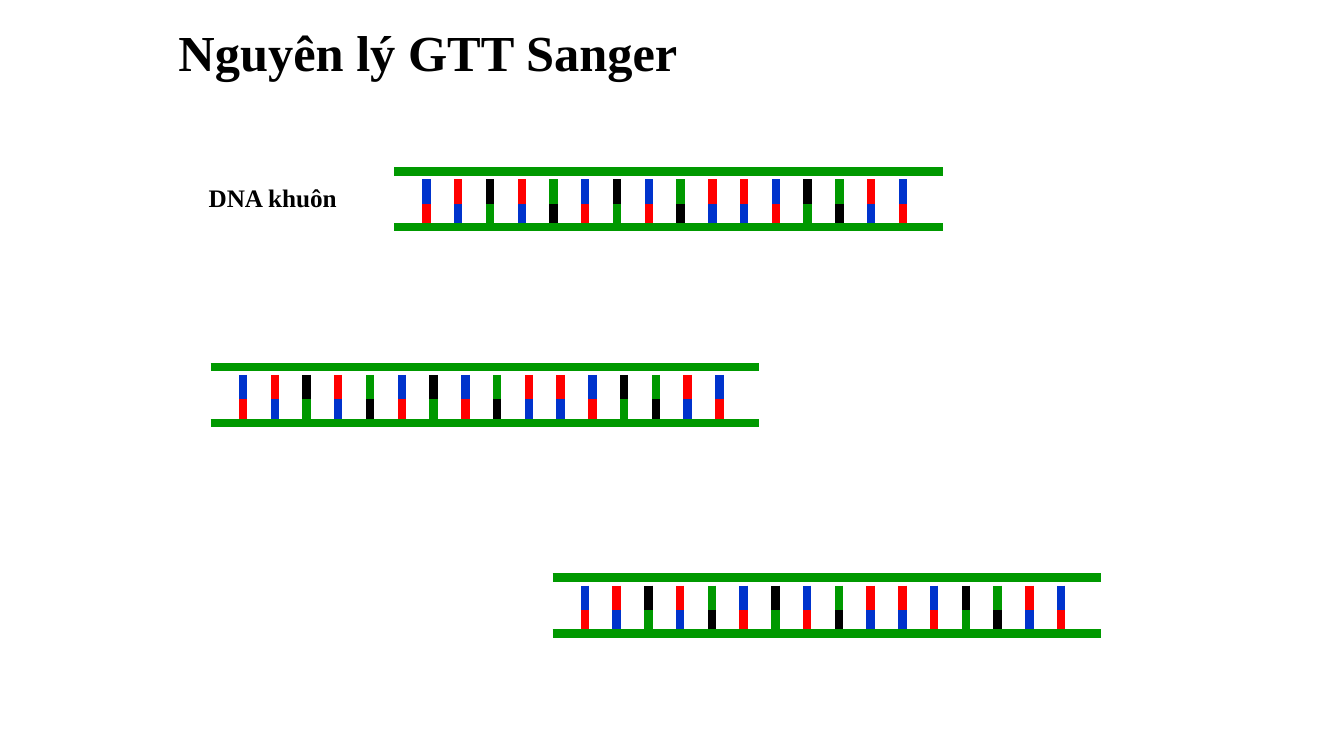
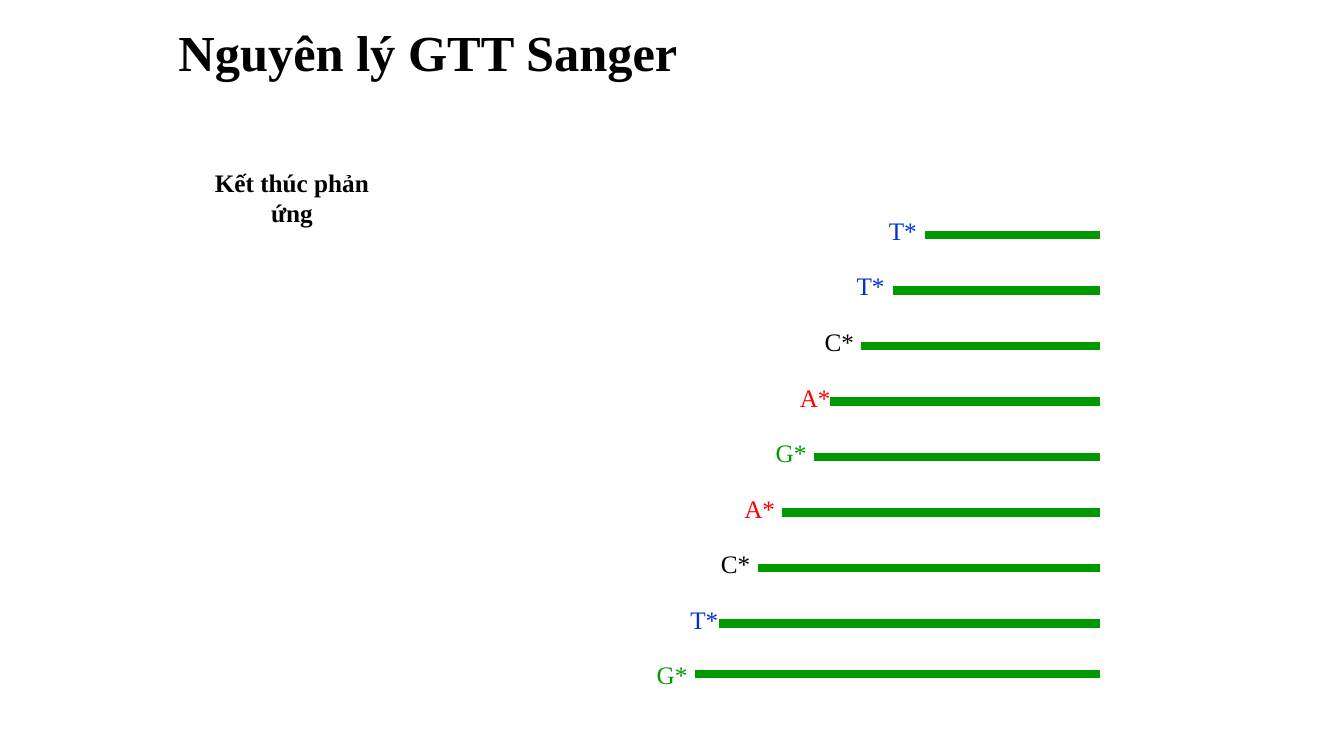
from lxml.etree import SubElement
from pptx import Presentation
from pptx.dml.color import RGBColor
from pptx.enum.shapes import MSO_CONNECTOR
from pptx.enum.text import MSO_ANCHOR, MSO_AUTO_SIZE, PP_ALIGN
from pptx.oxml.ns import qn
from pptx.util import Inches, Pt

FONT = "Times New Roman"
BLACK, GREEN = "000000", "009900"
BASE_COLORS = {"A": "FF0000", "C": BLACK, "G": GREEN, "T": "0033CC"}
COMPLEMENT = {"A": "T", "T": "A", "C": "G", "G": "C"}
TEMPLATE = "TACAGTCTGAATCGAT"
LADDERS = [(3.91, 1.7), (2.09, 3.64), (5.48, 5.73)]
FRAGMENTS = [
    ("T", 8.8, 9.17, 0.28),
    ("T", 8.48, 8.86, 0.28),
    ("C", 8.17, 8.54, 0.28),
    ("A", 7.93, 8.23, 0.28),
    ("G", 7.69, 8.07, 0.28),
    ("A", 7.38, 7.76, 0.28),
    ("C", 7.14, 7.52, 0.28),
    ("T", 6.83, 7.13, 0.28),
    ("G", 6.51, 6.89, 0.23),
]


def rgb(color):
    """Turn a hex string into a colour."""
    return RGBColor.from_string(color)


def write(shape, text, size, color, bold, align):
    """Fill a shape with one formatted paragraph, centred vertically."""
    tf = shape.text_frame
    tf.text = text
    tf.auto_size = MSO_AUTO_SIZE.NONE
    tf.vertical_anchor = MSO_ANCHOR.MIDDLE
    p = tf.paragraphs[0]
    p.alignment = align
    font = p.runs[0].font
    font.name, font.size, font.bold = FONT, Pt(size), bold
    font.color.rgb = rgb(color)
    return tf


def add_slide(prs):
    """Add a slide with the shared title."""
    s = prs.slides.add_slide(prs.slide_layouts[5])
    title = s.shapes.title
    title.left, title.top = Inches(1.67), Inches(0.09)
    title.width, title.height = Inches(8.62), Inches(0.92)
    tf = write(title, "Nguyên lý GTT Sanger", 36, BLACK, True, PP_ALIGN.LEFT)
    tf.paragraphs[0].line_spacing = 0.9
    return s


def add_caption(s, text, width):
    """Add the bold caption at the upper left."""
    box = s.shapes.add_textbox(Inches(1.87), Inches(1.71), Inches(width), Inches(0.5))
    write(box, text, 18, BLACK, True, PP_ALIGN.CENTER).word_wrap = True


def add_base_label(s, base, left, top):
    """Add the coloured label of a terminating base."""
    box = s.shapes.add_textbox(Inches(left), Inches(top), Inches(0.31), Inches(0.47))
    tf = write(box, base + "*", 18, BASE_COLORS[base], False, PP_ALIGN.CENTER)
    tf.margin_left = tf.margin_right = 0
    tf.word_wrap = False


def add_line(shapes, x1, y1, x2, y2, color):
    """Add a thick straight line without shadow."""
    line = shapes.add_connector(
        MSO_CONNECTOR.STRAIGHT, Inches(x1), Inches(y1), Inches(x2), Inches(y2)
    )
    line.line.color.rgb = rgb(color)
    line.line.width = Pt(6)
    SubElement(line._element.spPr, qn("a:effectLst"))


def add_strand(s, bases, left, backbone, tip, middle):
    """Add a grouped strand: bases from tip to middle, then the backbone."""
    shapes = s.shapes.add_group_shape().shapes
    for i, base in enumerate(bases):
        x = left + 0.32 + 0.315 * i
        add_line(shapes, x, tip, x, middle, BASE_COLORS[base])
    add_line(shapes, left, backbone, left + 5.44, backbone, GREEN)


def add_ladder(s, left, top):
    """Add a double-stranded DNA ladder."""
    middle, bottom = top + 0.32, top + 0.555
    add_strand(s, TEMPLATE, left, top, top + 0.08, middle)
    paired = [COMPLEMENT[base] for base in TEMPLATE]
    add_strand(s, paired, left, bottom, bottom, middle)


def add_fragments(s):
    """Add the terminated fragments from shortest to longest."""
    for i, (base, label_left, bar_left, drop) in enumerate(FRAGMENTS):
        top = 2.05 + 0.551 * i
        add_base_label(s, base, label_left, top)
        add_line(s.shapes, 10.91, top + drop, bar_left, top + drop, GREEN)


def main():
    """Build and save the presentation."""
    prs = Presentation()
    prs.slide_width, prs.slide_height = Inches(13.33), Inches(7.5)
    s = add_slide(prs)
    add_caption(s, "DNA khuôn", 1.67)
    for left, top in LADDERS:
        add_ladder(s, left, top)
    s = add_slide(prs)
    add_caption(s, "Kết thúc phản ứng", 2.05)
    add_fragments(s)
    prs.save("out.pptx")


if __name__ == "__main__":
    main()
